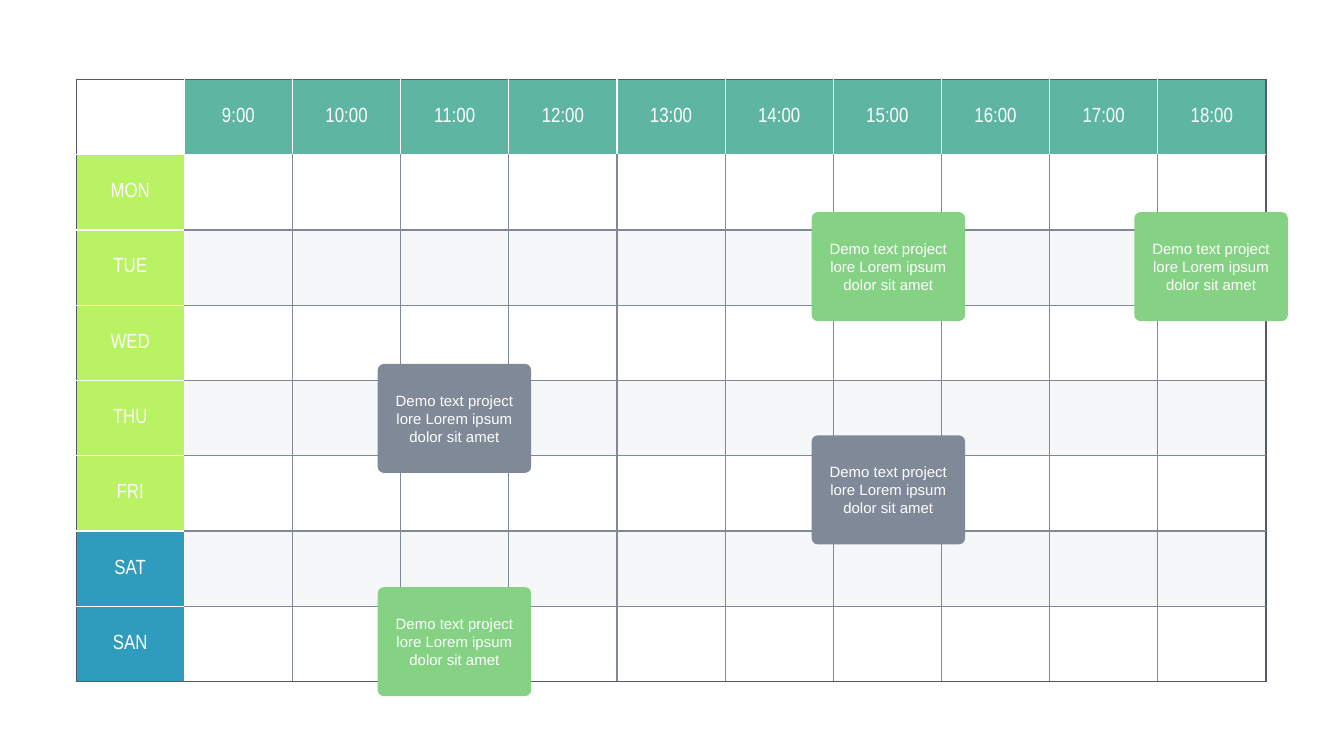
"""Build a weekly timetable slide with event cards over an hourly grid."""
import lxml.etree
import pptx
import pptx.dml.color
import pptx.enum.shapes
import pptx.enum.text
import pptx.oxml.ns
import pptx.util
from pptx.util import Cm

COLORS = {
    "white": "FFFFFF",
    "hours": "5EB6A2",
    "weekday": "B9F263",
    "weekend": "2F9BBD",
    "band": "EEF0F4",
    "grid": "7F8998",
    "frame": "545B63",
    "green": "86D285",
    "grey": "7F8998",
}
HOURS = [f"{hour}:00" for hour in range(9, 19)]
DAYS = ["MON", "TUE", "WED", "THU", "FRI", "SAT", "SAN"]
EVENT_TEXT = "Demo text project lore Lorem ipsum dolor sit amet"
EVENTS = [
    (15.34, 4.01, "green"),
    (7.14, 6.88, "grey"),
    (15.34, 8.23, "grey"),
    (7.14, 11.1, "green"),
    (21.44, 4.01, "green"),
]


def rgb(name):
    return pptx.dml.color.RGBColor.from_string(COLORS[name])


def add_sub(parent, tag, **attributes):
    return lxml.etree.SubElement(parent, pptx.oxml.ns.qn(tag), attributes)


def paint(fill, name):
    fill.solid()
    fill.fore_color.rgb = rgb(name)


def write(frame, text, size, font):
    para = frame.paragraphs[0]
    para.alignment = pptx.enum.text.PP_ALIGN.CENTER
    span = para.add_run()
    span.text = text
    span.font.size = pptx.util.Pt(size)
    span.font.name = font
    span.font.color.rgb = rgb("white")


def set_margins(box, side, end):
    box.margin_left = box.margin_right = Cm(side)
    box.margin_top = box.margin_bottom = Cm(end)


def edge_color(outer, beside_label):
    if outer:
        return "frame"
    return "white" if beside_label else "grid"


def set_borders(cell, row, column):
    edges = {
        "a:lnL": edge_color(column == 0, row == 0 or column == 1),
        "a:lnR": edge_color(column == len(HOURS), row == 0 or column == 0),
        "a:lnT": edge_color(row == 0, column == 0 or row == 1),
        "a:lnB": edge_color(row == len(DAYS), column == 0 or row == 0),
    }
    properties = cell._tc.get_or_add_tcPr()
    for tag, name in edges.items():
        line = add_sub(properties, tag, w=str(pptx.util.Pt(0.75)))
        add_sub(add_sub(line, "a:solidFill"), "a:srgbClr", val=COLORS[name])


def fill_label(cell, text, color):
    paint(cell.fill, color)
    set_margins(cell, 0.1, 0.05)
    cell.vertical_anchor = pptx.enum.text.MSO_ANCHOR.MIDDLE
    write(cell.text_frame, text, 11, "Arial Narrow")


def fill_band(cell):
    paint(cell.fill, "band")
    color = cell._tc.tcPr.find(".//a:solidFill/a:srgbClr[@val='EEF0F4']",
                               {"a": pptx.oxml.ns.nsdecls("a").split('"')[1]})
    add_sub(color, "a:alpha", val="50000")


def add_timetable(page):
    rows, columns = len(DAYS) + 1, len(HOURS) + 1
    width, height = Cm(22.49), Cm(11.39)
    table = page.shapes.add_table(
        rows, columns, Cm(1.44), Cm(1.5), width, height).table
    table.first_row = table.horz_banding = False
    for column in table.columns:
        column.width = width // columns
    for row in table.rows:
        row.height = height // rows
    for row in range(rows):
        for column in range(columns):
            cell = table.cell(row, column)
            set_borders(cell, row, column)
            if row == 0 and column > 0:
                fill_label(cell, HOURS[column - 1], "hours")
            elif column == 0 and row > 0:
                fill_label(cell, DAYS[row - 1], "weekday" if row <= 5 else "weekend")
            elif row > 0 and row % 2 == 0:
                fill_band(cell)
            else:
                cell.fill.background()


def add_event(page, left, top, color):
    card = page.shapes.add_shape(
        pptx.enum.shapes.MSO_SHAPE.ROUNDED_RECTANGLE,
        Cm(left), Cm(top), Cm(2.9), Cm(2.06))
    card.adjustments[0] = 0.056
    card.shadow.inherit = False
    paint(card.fill, color)
    card.line.fill.background()
    frame = card.text_frame
    frame.word_wrap = True
    frame.vertical_anchor = pptx.enum.text.MSO_ANCHOR.MIDDLE
    set_margins(frame, 0.05, 0.05)
    write(frame, EVENT_TEXT, 8, "Arial")


def main():
    deck = pptx.Presentation()
    deck.slide_width, deck.slide_height = Cm(25.4), Cm(14.29)
    page = deck.slides.add_slide(deck.slide_layouts[6])
    add_timetable(page)
    for left, top, color in EVENTS:
        add_event(page, left, top, color)
    deck.save("out.pptx")


if __name__ == "__main__":
    main()
